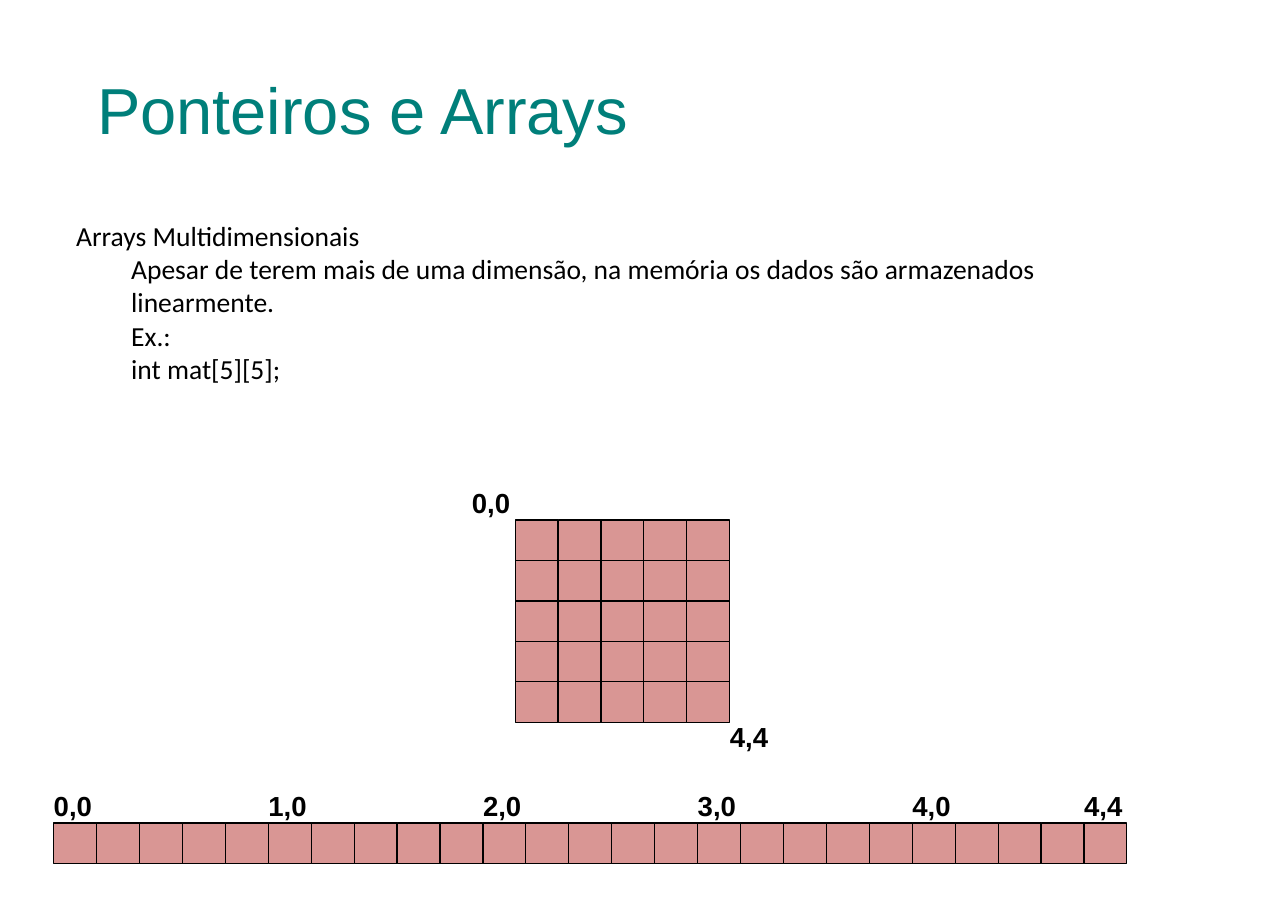
from dataclasses import dataclass

from pptx import Presentation
from pptx import util as u
from pptx.dml.color import RGBColor
from pptx.enum import shapes, text

SLIDE_WIDTH, SLIDE_HEIGHT = u.Inches(11.69), u.Inches(8.26)
# One array cell is one column wide and one row high.
COLUMN, ROW = SLIDE_WIDTH / 30, SLIDE_HEIGHT / 22.5
SIZE = 5


@dataclass(frozen=True)
class Theme:
    title_color: RGBColor = RGBColor(0x00, 0x7F, 0x7A)
    ink: RGBColor = RGBColor(0, 0, 0)
    cell_fill: RGBColor = RGBColor(0xD9, 0x96, 0x94)
    title_font: str = "Arial"
    body_font: str = "Calibri"
    title_size: u.Pt = u.Pt(42.5)
    text_size: u.Pt = u.Pt(18)
    cell_line: u.Pt = u.Pt(0.75)


THEME = Theme()


@dataclass(frozen=True)
class Box:
    """A rectangle measured in grid columns and rows."""
    left: float
    top: float
    width: float
    height: float

    def inside(self, column, row, width, height):
        return Box(self.left + column, self.top + row, width, height)

    def emu(self):
        return (round(self.left * COLUMN), round(self.top * ROW),
                round(self.width * COLUMN), round(self.height * ROW))


def set_font(paragraph, name, size, color, bold=False):
    font = paragraph.font
    font.name, font.size, font.bold = name, size, bold
    font.color.rgb = color


def add_title(slide, box, wording):
    title = slide.shapes.title
    title.left, title.top, title.width, title.height = box.emu()
    frame = title.text_frame
    frame.text = wording
    frame.auto_size = text.MSO_AUTO_SIZE.NONE
    frame.vertical_anchor = text.MSO_ANCHOR.MIDDLE
    frame.margin_left = frame.margin_right = 0
    frame.margin_top = frame.margin_bottom = 0
    paragraph = frame.paragraphs[0]
    paragraph.alignment = text.PP_ALIGN.LEFT
    set_font(paragraph, THEME.title_font, THEME.title_size, THEME.title_color)


def add_body(slide, box, heading, details):
    frame = slide.shapes.add_textbox(*box.emu()).text_frame
    frame.word_wrap = True
    frame.margin_left = frame.margin_right = u.Inches(0.11)
    frame.margin_top = frame.margin_bottom = u.Inches(0.06)
    frame.text = "\n".join([heading, *details])
    for paragraph in frame.paragraphs:
        set_font(paragraph, THEME.body_font, THEME.text_size, THEME.ink)
    for paragraph in frame.paragraphs[1:]:
        paragraph.level = 1
        properties = paragraph._p.get_or_add_pPr()
        properties.set("marL", str(u.Inches(0.5)))
        properties.set("indent", "0")


def add_label(group, box, wording):
    frame = group.shapes.add_textbox(*box.emu()).text_frame
    frame.word_wrap = True
    frame.text = wording
    set_font(frame.paragraphs[0], THEME.title_font, THEME.text_size, THEME.ink, bold=True)


def add_cells(slide, box):
    """Fill the box with unit cells and return their group."""
    group = slide.shapes.add_group_shape()
    for row in range(box.height):
        for column in range(box.width):
            place = box.inside(column, row, 1, 1).emu()
            cell = group.shapes.add_shape(shapes.MSO_SHAPE.RECTANGLE, *place)
            cell.shadow.inherit = False
            cell.fill.solid()
            cell.fill.fore_color.rgb = THEME.cell_fill
            cell.line.color.rgb = THEME.ink
            cell.line.width = THEME.cell_line
    return group


def add_matrix(slide, box):
    group = add_cells(slide, box)
    add_label(group, box.inside(-1.26, -0.98, 2.75, 1.09), "0,0")
    add_label(group, box.inside(box.width - 0.25, box.height - 0.19, 2.75, 1.09), "4,4")


def add_memory_strip(slide, box):
    """Draw the linear memory, labelled at each row start and the last cell."""
    group = add_cells(slide, box)
    for index in [*range(0, box.width, SIZE), box.width - 1]:
        row, column = divmod(index, SIZE)
        add_label(group, box.inside(index - 0.25, -0.98, 1.75, 1.09), f"{row},{column}")


def add_arrays_slide(presentation):
    slide = presentation.slides.add_slide(presentation.slide_layouts.get_by_name("Title Only"))
    add_body(slide, Box(1.49, 5.26, 24.5, 16), "Arrays Multidimensionais", [
        "Apesar de terem mais de uma dimensão, na memória os dados são armazenados linearmente.",
        "Ex.:",
        "int mat[5][5];",
    ])
    add_title(slide, Box(2.26, 1.72, 25.5, 1.93), "Ponteiros e Arrays")
    add_matrix(slide, Box(12, 12.86, SIZE, SIZE))
    add_memory_strip(slide, Box(1.25, 20.35, SIZE * SIZE, 1))


def main():
    presentation = Presentation()
    presentation.slide_width, presentation.slide_height = SLIDE_WIDTH, SLIDE_HEIGHT
    add_arrays_slide(presentation)
    presentation.save("out.pptx")


if __name__ == "__main__":
    main()
